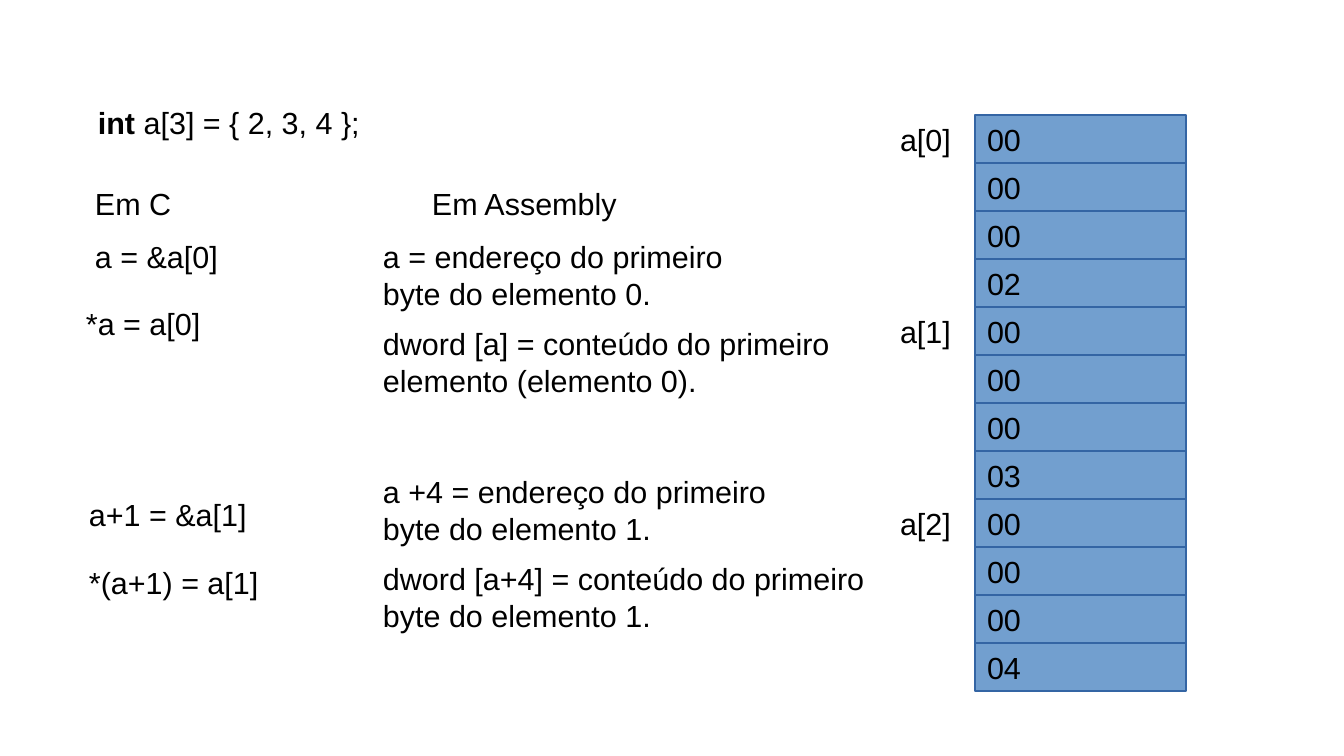
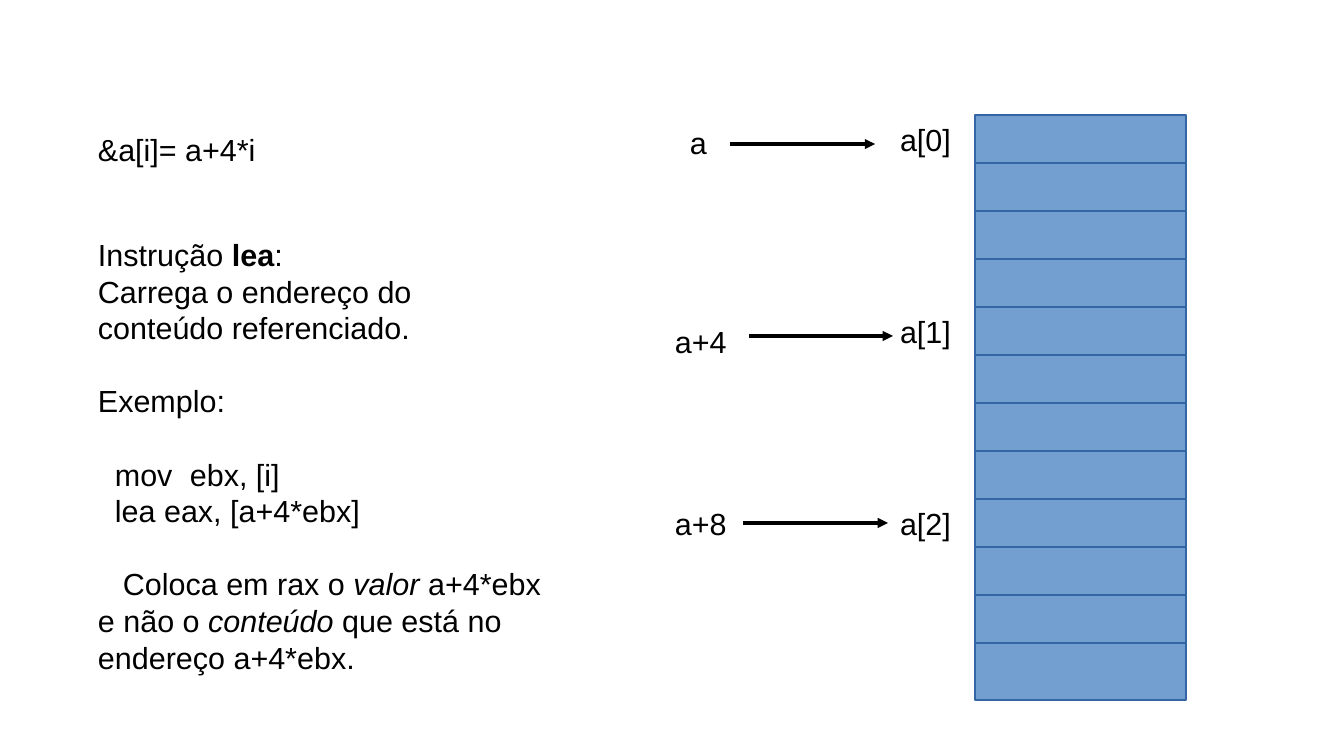
from dataclasses import dataclass

from lxml import etree
from pptx import Presentation
from pptx import util as u
from pptx.dml.color import RGBColor
from pptx.enum import shapes, text
from pptx.oxml.ns import qn

SCALE = 7495


def px(length):
    return u.Emu(length * SCALE)


def colour(value):
    return RGBColor.from_string(value)


@dataclass
class Para:
    spans: tuple
    gap: float = 0
    indent: int = 0
    tabs: tuple = ()


class Deck:
    FONT = "Arial"
    SIZE = 18
    INK = "000000"
    CELL_FILL = "729FCF"
    CELL_LINE = "3465A4"
    CELL_LEFT, CELL_TOP, CELL_WIDTH, ROW = 975, 115, 211, 48

    def __init__(self, width, height):
        self.deck = Presentation()
        self.deck.slide_width = px(width)
        self.deck.slide_height = px(height)
        self.page = None

    def new_page(self):
        self.page = self.deck.slides.add_slide(self.deck.slide_layouts[6])

    def fill_text(self, box, paras):
        frame = box.text_frame
        frame.word_wrap = True
        frame.vertical_anchor = text.MSO_ANCHOR.TOP
        for index, item in enumerate(paras):
            if isinstance(item, str):
                item = Para(((item, ""),))
            para = frame.add_paragraph() if index else frame.paragraphs[0]
            para.alignment = text.PP_ALIGN.LEFT
            para.font.name = self.FONT
            para.font.size = u.Pt(self.SIZE)
            para.font.color.rgb = colour(self.INK)
            if item.gap:
                para.space_before = u.Pt(item.gap)
            props = para._p.get_or_add_pPr()
            if item.indent:
                props.set("indent", str(px(item.indent)))
            if item.tabs:
                stops = etree.Element(qn("a:tabLst"))
                for stop in item.tabs:
                    etree.SubElement(stops, qn("a:tab"), pos=str(px(stop)), algn="l")
                props.find(qn("a:defRPr")).addprevious(stops)
            for words, style in item.spans:
                span = para.add_run()
                span.text = words
                if style == "bold":
                    span.font.bold = True
                elif style == "italic":
                    span.font.italic = True

    def text(self, left, top, width, height, *paras):
        box = self.page.shapes.add_textbox(px(left), px(top), px(width), px(height))
        self.fill_text(box, paras)
        return box

    def cell(self, row, height, value):
        box = self.page.shapes.add_shape(
            shapes.MSO_SHAPE.RECTANGLE, px(self.CELL_LEFT),
            px(self.CELL_TOP + row * self.ROW), px(self.CELL_WIDTH), px(height))
        box.shadow.inherit = False
        box.fill.solid()
        box.fill.fore_color.rgb = colour(self.CELL_FILL)
        box.line.color.rgb = colour(self.CELL_LINE)
        box.line.width = 0
        if value:
            self.fill_text(box, [value])

    def memory(self, values, height):
        labels = []
        for row, value in enumerate(values):
            self.cell(row, height, value)
            if row % 4 == 0:
                top = self.CELL_TOP + row * self.ROW
                labels.append(self.text(888, top, 77, 48, f"a[{row // 4}]"))
        return labels

    def arrow(self, left, right, y, source=None, target=None):
        line = self.page.shapes.add_connector(
            shapes.MSO_CONNECTOR.STRAIGHT, px(left), px(y), px(right), px(y))
        if source is not None:
            line.begin_connect(source, 3)
        if target is not None:
            line.end_connect(target, 1)
        line.line.color.rgb = colour(self.INK)
        line.line.width = 0
        etree.SubElement(line.line._get_or_add_ln(), qn("a:tailEnd"), type="triangle")
        etree.SubElement(line._element.spPr, qn("a:effectLst"))


def array_slide(deck):
    deck.new_page()
    deck.memory(["00", "00", "00", "02", "00", "00", "00", "03",
                 "00", "00", "00", "04"], 48)
    deck.text(86, 98, 330, 46, Para((("int", "bold"), (" a[3] = { 2, 3, 4 };", ""))))
    for left, top, words in (
        (83, 179, "Em C"),
        (83, 232, "a = &a[0]"),
        (74, 299, "*a = a[0]"),
        (77, 490, "a+1 = &a[1]"),
        (77, 558, "*(a+1) = a[1]"),
        (420, 179, "Em Assembly"),
    ):
        deck.text(left, top, 220, 46, words)
    for top, first, second in (
        (232, "a = endereço do primeiro", "byte do elemento 0."),
        (319, "dword [a] = conteúdo do primeiro", "elemento (elemento 0)."),
        (467, "a +4 = endereço do primeiro", "byte do elemento 1."),
        (554, "dword [a+4] = conteúdo do primeiro", "byte do elemento 1."),
    ):
        deck.text(371, top, 515, 80, first, second)


def lea_slide(deck):
    deck.new_page()
    labels = deck.memory([""] * 12, 57)
    deck.text(678, 118, 42, 46, "a")
    deck.text(663, 317, 80, 48, "a+4")
    last = deck.text(663, 499, 80, 48, "a+8")
    deck.arrow(730, 875, 144)
    deck.arrow(749, 893, 336)
    deck.arrow(743, 888, 523, last, labels[2])
    deck.text(86, 125, 200, 46, "&a[i]= a+4*i")
    line = 21.6
    code_tabs = (17, 92)
    deck.text(
        86, 230, 469, 422,
        Para((("Instrução ", ""), ("lea", "bold"), (":", ""))),
        "Carrega o endereço do conteúdo referenciado.",
        Para((("Exemplo:", ""),), gap=line),
        Para((("\tmov\tebx, [i]", ""),), gap=line, tabs=code_tabs),
        Para((("\tlea eax, [a+4*ebx]", ""),), tabs=code_tabs),
        Para((("Coloca em rax o ", ""), ("valor ", "italic"),
              ("a+4*ebx e não o ", ""), ("conteúdo", "italic"),
              (" que está no endereço a+4*ebx.", "")), gap=line, indent=25),
    )


def main():
    deck = Deck(1344, 756)
    array_slide(deck)
    lea_slide(deck)
    deck.deck.save("out.pptx")


if __name__ == "__main__":
    main()
